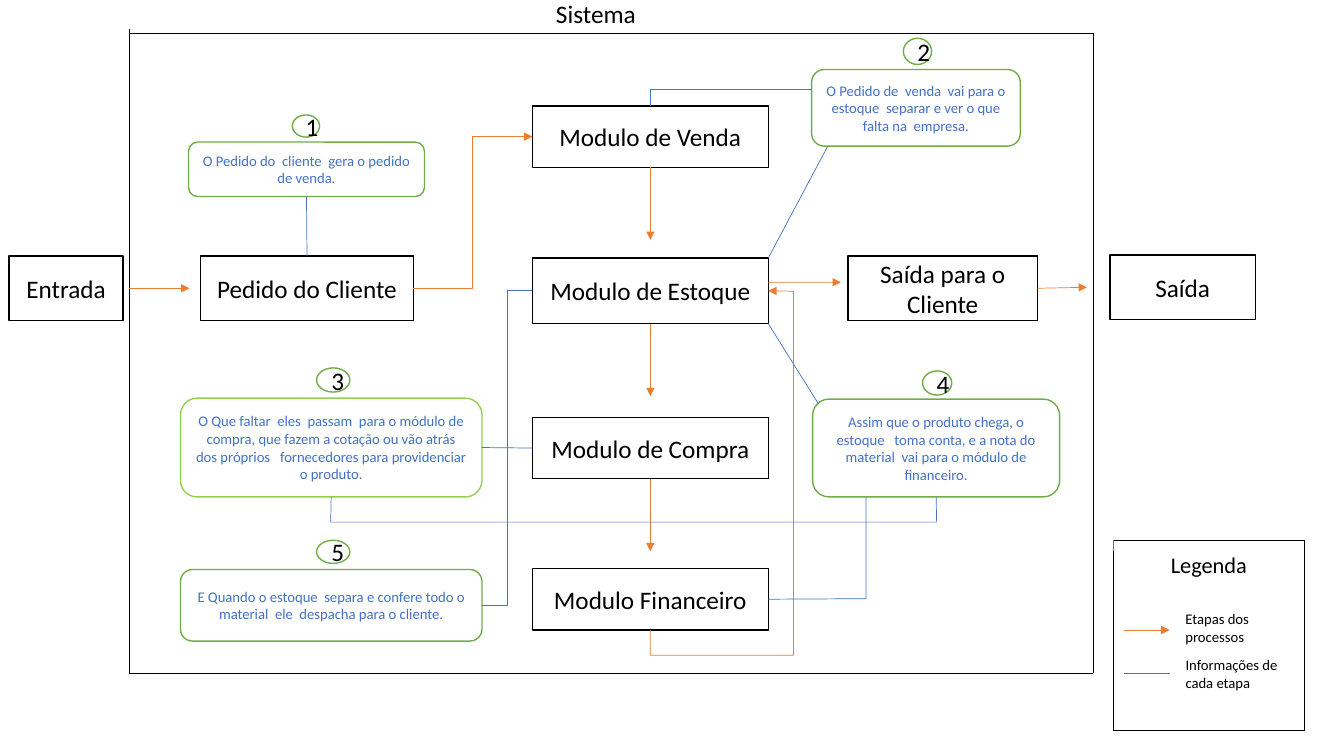
from pptx import Presentation
from pptx.dml.color import RGBColor
from pptx.enum.shapes import MSO_CONNECTOR, MSO_SHAPE
from pptx.enum.text import MSO_ANCHOR, MSO_AUTO_SIZE, PP_ALIGN
from pptx.oxml.ns import qn
from pptx.util import Inches, Pt
from lxml.etree import SubElement

HUES = {"ink": "000000", "paper": "FFFFFF", "step": "ED7D31",
        "info": "4472C4", "note": "70AD47", "lime": "92D050"}

# Columns of the flow: left, width
COLS = {"in": (0.09, 1.13), "order": (1.99, 2.11), "mod": (5.28, 2.34),
        "client": (8.41, 1.88), "out": (11.01, 1.44)}

# Flow boxes: name: (text, column, top, height)
BOXES = {
    "sale": ("Modulo de Venda", "mod", 1.05, 0.61),
    "stock": ("Modulo de Estoque", "mod", 2.56, 0.65),
    "buy": ("Modulo de Compra", "mod", 4.14, 0.61),
    "cash": ("Modulo Financeiro", "mod", 5.64, 0.61),
    "in": ("Entrada", "in", 2.54, 0.64),
    "order": ("Pedido do Cliente", "order", 2.54, 0.64),
    "client": ("Saída para o Cliente", "client", 2.54, 0.64),
    "out": ("Saída", "out", 2.53, 0.64),
}

# Numbered notes: (text, place, place of the number, line colour)
NOTES = [
    ("O Pedido do  cliente  gera o pedido de venda.",
     (1.87, 1.41, 2.34, 0.54), (2.9, 1.14, 0.27, 0.22), "note"),
    ("O Pedido de  venda  vai para o estoque  separar e ver o que falta na  empresa.",
     (8.05, 0.69, 2.07, 0.76), (8.96, 0.38, 0.28, 0.26), "note"),
    ("O Que faltar  eles  passam  para o módulo de compra, que fazem a cotação "
     "ou vão atrás dos próprios   fornecedores para providenciar o produto.",
     (1.79, 3.95, 2.99, 0.98), (3.14, 3.65, 0.33, 0.24), "lime"),
    ("Assim que o produto chega, o estoque   toma conta, e a nota do material  "
     "vai para o módulo de financeiro.",
     (8.06, 3.96, 2.45, 0.97), (9.15, 3.68, 0.29, 0.24), "note"),
    ("E Quando o estoque  separa e confere todo o material  ele  despacha para o cliente.",
     (1.79, 5.65, 2.99, 0.71), (3.14, 5.36, 0.33, 0.23), "note"),
]

# Legend: (text, top of the text, width, line height, colour)
KEYS = [("Etapas dos processos", 6.0, 1.07, 6.25, "step"),
        ("Informações de cada etapa", 6.46, 1.18, 6.68, "info")]

# Places by name; a point is (x, y) or (name, share across, share down)
SPOTS = {key: (COLS[col][0], top, COLS[col][1], high)
         for key, (_, col, top, high) in BOXES.items()}
SPOTS.update({num: note[1] for num, note in enumerate(NOTES, 1)})

# Straight lines: (from, to, colour)
LINES = [
    ((1.28, 2.86), (1.88, 2.86), "step"),
    (("stock", 1, 0.37), (8.34, 2.8), "step"),
    (("client", 1, 0.5), (10.78, 2.85), "step"),
    ((1, 0.5, 1), ("order", 0.5, 0), "info"),
    ((8.21, 1.45), ("stock", 1, 0), "info"),
    ((3, 1, 0.5), ("buy", 0, 0.5), "info"),
    ((8.12, 4.01), ("stock", 1, 1), "info"),
]
LINES += [((key, 0.5, 1), (6.45, SPOTS[key][1] + SPOTS[key][3] + 0.72), "step")
          for key in ("sale", "stock", "buy")]

# Elbows with the bend half way
BENDS = [(("order", 1, 0.5), ("sale", 0, 0.5), "step"),
         ((5, 1, 0.5), ("stock", 0, 0.5), "info")]

# Open paths with right angles
PATHS = [
    ([("cash", 0.5, 1), (6.45, 6.5), (7.87, 6.5), (7.87, 2.89), ("stock", 1, 0.5)], "step"),
    ([("sale", 0.5, 0), (6.45, 0.89), (8.05, 0.89)], "info"),
    ([("cash", 1, 0.5), (8.59, 5.94), (8.59, 4.93)], "info"),
    ([(3, 0.5, 1), (3.28, 5.18), (9.29, 5.18), (4, 0.5, 1)], "info"),
]

deck = Presentation()
deck.slide_width, deck.slide_height = Inches(13.33), Inches(7.5)
slide = deck.slides.add_slide(deck.slide_layouts[5])
parts = slide.shapes


def hue(name):
    return RGBColor.from_string(HUES[name])


def write(shape, text, size=18, color="ink", align=PP_ALIGN.CENTER, anchor=MSO_ANCHOR.MIDDLE):
    frame = shape.text_frame
    frame.word_wrap = True
    frame.auto_size = MSO_AUTO_SIZE.NONE
    frame.vertical_anchor = anchor
    para = frame.paragraphs[0]
    para.alignment = align
    run = para.add_run()
    run.text = text
    run.font.name, run.font.size = "Calibri", Pt(size)
    run.font.color.rgb = hue(color)


def block(kind, spot, text, line="ink", **style):
    shape = parts.add_shape(kind, *map(Inches, spot))
    shape.shadow.inherit = False
    shape.fill.solid()
    shape.fill.fore_color.rgb = hue("paper")
    shape.line.color.rgb = hue(line)
    shape.line.width = Pt(1)
    write(shape, text, **style)


def label(spot, text, **style):
    write(parts.add_textbox(*map(Inches, spot)), text, anchor=MSO_ANCHOR.TOP, **style)


def point(end):
    if len(end) == 2:
        return end
    left, top, wide, high = SPOTS[end[0]]
    return left + wide * end[1], top + high * end[2]


def stroke(shape, color):
    shape.line.color.rgb = hue(color)
    shape.line.width = Pt(0.5)
    if color == "step":
        SubElement(shape.line._get_or_add_ln(), qn("a:tailEnd"), type="triangle")


def link(start, end, color="ink", kind=MSO_CONNECTOR.STRAIGHT):
    ends = [Inches(num) for num in (*point(start), *point(end))]
    wire = parts.add_connector(kind, *ends)
    stroke(wire, color)
    SubElement(wire._element.spPr, qn("a:effectLst"))


def trail(stops, color):
    first, *rest = [tuple(map(Inches, point(stop))) for stop in stops]
    pen = parts.build_freeform(*first)
    pen.add_line_segments(rest, close=False)
    shape = pen.convert_to_shape()
    shape.shadow.inherit = False
    shape.fill.background()
    stroke(shape, color)


# System frame and legend frame
for left, top, right, low, start in ((1.28, 0.33, 10.84, 6.68, 0.29),
                                     (11.04, 5.36, 12.94, 7.25, 5.47)):
    link((left, start), (left, low))
    link((left, low), (right, low))
    link((right, low), (right, top))
    link((right, top), (left, top))
link((11.04, 5.36), (11.04, 5.47), "info")

# Title
title = parts.title
title.left, title.top, title.width, title.height = map(Inches, (4.74, -0.07, 2.34, 0.4))
write(title, "Sistema", anchor=MSO_ANCHOR.TOP)

# Flow boxes and notes
for key, (text, *_) in BOXES.items():
    block(MSO_SHAPE.RECTANGLE, SPOTS[key], text)
for num, (text, spot, dot, line) in enumerate(NOTES, 1):
    block(MSO_SHAPE.ROUNDED_RECTANGLE, spot, text, line=line, size=10.5, color="info")
    block(MSO_SHAPE.OVAL, dot, str(num), line="note")

# Links
for line in LINES:
    link(*line)
for bend in BENDS:
    link(*bend, kind=MSO_CONNECTOR.ELBOW)
for path in PATHS:
    trail(*path)

# Legend
label((11.32, 5.42, 1.34, 0.37), "Legenda", size=16)
for text, top, wide, mid, color in KEYS:
    link((11.15, mid), (11.6, mid), color)
    label((11.66, top, wide, 0.45), text, size=10.5, align=PP_ALIGN.LEFT)

deck.save("out.pptx")
